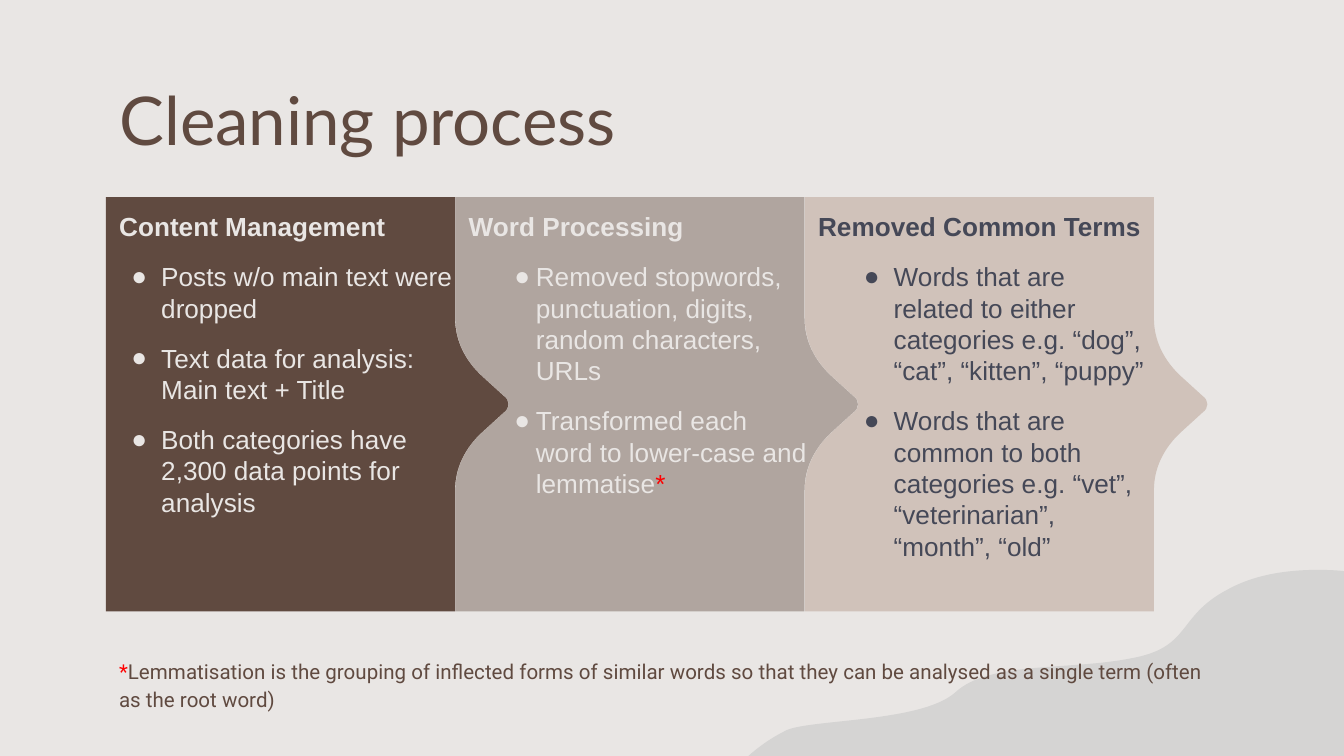
"""Build the Cleaning process slide with three interlocking step panels."""
from dataclasses import dataclass

import pptx
import pptx.dml.color
import pptx.enum.text
import pptx.oxml
import pptx.oxml.ns
import pptx.util
from pptx.util import Pt


@dataclass(frozen=True)
class Theme:
    background: str = "E9E6E4"
    brown: str = "604A40"
    taupe: str = "B0A59F"
    sand: str = "D0C2BA"
    slate: str = "454857"
    wave: str = "D5D4D3"
    accent: str = "FF0000"
    title_size: int = 36
    panel_size: int = 14
    note_size: int = 11


theme = Theme()
namespace = pptx.oxml.ns.nsdecls("a")


def add_run(paragraph, text, font, size, color, bold=False):
    run = paragraph.add_run()
    run.text = text
    run.font.name = font
    run.font.size = Pt(size)
    run.font.bold = bold
    run.font.color.rgb = pptx.dml.color.RGBColor.from_string(color)


def add_outline(shapes, segments, left, top, color):
    """Draw a closed outline whose segments are line ends or cubic curves."""
    points = [
        (round(segment[i] * 100), round(segment[i + 1] * 100))
        for segment in segments for i in range(0, len(segment), 2)
    ]
    builder = shapes.build_freeform(*points[0], scale=Pt(1) / 100)
    builder.add_line_segments(points[1:])
    shape = builder.convert_to_shape(Pt(left), Pt(top))
    lines = iter(shape._element.findall(".//" + pptx.oxml.ns.qn("a:lnTo")))
    for segment in segments[1:]:
        parts = [next(lines) for _ in range(len(segment) // 2)]
        if len(parts) == 3:
            curve = pptx.oxml.parse_xml(f"<a:cubicBezTo {namespace}/>")
            parts[0].addprevious(curve)
            for part in parts:
                curve.append(part[0])
                part.getparent().remove(part)
    shape.shadow.inherit = False
    shape.fill.solid()
    shape.fill.fore_color.rgb = pptx.dml.color.RGBColor.from_string(color)
    shape.line.fill.background()
    return shape


presentation = pptx.Presentation()
presentation.slide_width = Pt(720)
presentation.slide_height = Pt(405)
slide = presentation.slides.add_slide(presentation.slide_layouts[5])
slide.background.fill.solid()
slide.background.fill.fore_color.rgb = pptx.dml.color.RGBColor.from_string(theme.background)

wave = [
    (720, 405), (720, 306),
    (720, 306, 715, 305.3, 706.3, 305.3),
    (693.4, 305.3, 674, 306.7, 657.4, 316),
    (630, 330.5, 638.6, 347, 605.5, 352.8),
    (572.4, 359.3, 530, 354.2, 512, 370.8),
    (494, 387.4, 431.3, 385.2, 420.5, 391.7),
    (409, 397.4, 401, 405, 401, 405),
]
add_outline(slide.shapes, wave, 0, 0, theme.wave)

title = slide.shapes.title
title.left, title.top, title.width, title.height = Pt(56.7), Pt(50), Pt(606.6), Pt(53.3)
title.text_frame.vertical_anchor = pptx.enum.text.MSO_ANCHOR.TOP
paragraph = title.text_frame.paragraphs[0]
paragraph.alignment = pptx.enum.text.PP_ALIGN.LEFT
paragraph.line_spacing = 0.7
add_run(paragraph, "Cleaning process", "Lato", theme.title_size, theme.brown)

pitch, height = 187.2, 222
edge = [
    (187, 0), (187, 65),
    (187, 76.5, 192, 87.5, 202, 96.5), (213, 106.5),
    (216.5, 109, 216.5, 113, 213, 115.5), (202, 125.5),
    (192, 134.5, 187, 145.5, 187, 157), (187, height),
]
notch = [
    tuple(height - value if i % 2 else value - 187 for i, value in enumerate(segment))
    for segment in edge
]
panels = [
    ("Content Management", theme.brown, theme.background, 22.5, 16, 28, [
        "Posts w/o main text were dropped",
        "Text data for analysis: Main text + Title",
        "Both categories have 2,300 data points for analysis",
    ]),
    ("Word Processing", theme.taupe, theme.background, 36, 11.5, 28, [
        "Removed stopwords, punctuation, digits, random characters, URLs",
        "Transformed each word to lower-case and lemmatise*",
    ]),
    ("Removed Common Terms", theme.sand, theme.slate, 40.5, 16, 33, [
        "Words that are related to either categories e.g. “dog”, “cat”, “kitten”, “puppy”",
        "Words that are common to both categories e.g. “vet”, “veterinarian”, “month”, “old”",
    ]),
]
for index, (heading, fill, color, margin, hanging, inset, items) in reversed(list(enumerate(panels))):
    left_side = notch if index else [(0, height)]
    panel = add_outline(
        slide.shapes, [(0, 0), *edge, *left_side], 56.8 + pitch * index, 105.6, fill
    )
    frame = panel.text_frame
    frame.word_wrap = True
    frame.vertical_anchor = pptx.enum.text.MSO_ANCHOR.TOP
    frame.margin_left = frame.margin_top = frame.margin_bottom = Pt(7.2)
    frame.margin_right = Pt(inset)
    paragraph = frame.paragraphs[0]
    paragraph.alignment = pptx.enum.text.PP_ALIGN.LEFT
    add_run(paragraph, heading, "Arial", theme.panel_size, color, bold=True)
    for item in items:
        paragraph = frame.add_paragraph()
        paragraph.alignment = pptx.enum.text.PP_ALIGN.LEFT
        paragraph.space_before = Pt(10)
        properties = paragraph._p.get_or_add_pPr()
        properties.set("marL", str(Pt(margin)))
        properties.set("indent", str(-Pt(hanging)))
        for bullet in (
            f'<a:buClr {namespace}><a:srgbClr val="{color}"/></a:buClr>',
            f'<a:buFont {namespace} typeface="Arial"/>',
            f'<a:buChar {namespace} char="●"/>',
        ):
            properties.append(pptx.oxml.parse_xml(bullet))
        add_run(paragraph, item.rstrip("*"), "Arial", theme.panel_size, color)
        if item.endswith("*"):
            add_run(paragraph, "*", "Arial", theme.panel_size, theme.accent)

note = slide.shapes.add_textbox(Pt(56.7), Pt(343.7), Pt(602), Pt(57))
note.text_frame.word_wrap = True
note.text_frame.margin_top = note.text_frame.margin_bottom = Pt(7.2)
paragraph = note.text_frame.paragraphs[0]
paragraph.line_spacing = 1.15
add_run(paragraph, "*", "Roboto", theme.note_size, theme.accent)
add_run(
    paragraph,
    "Lemmatisation is the grouping of inflected forms of similar words so that they can be "
    "analysed as a single term (often as the root word)",
    "Roboto", theme.note_size, theme.brown,
)

presentation.save("out.pptx")
